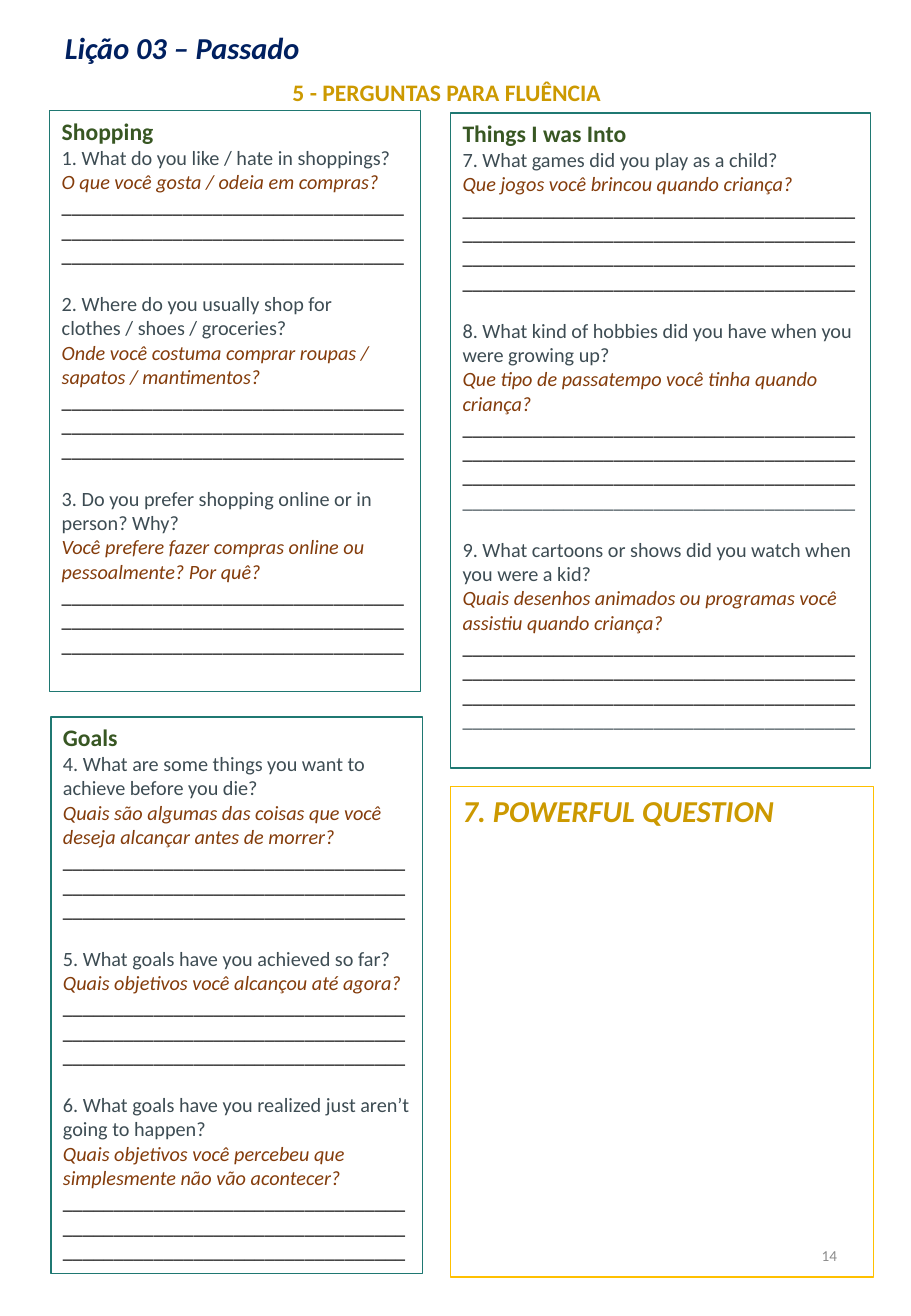
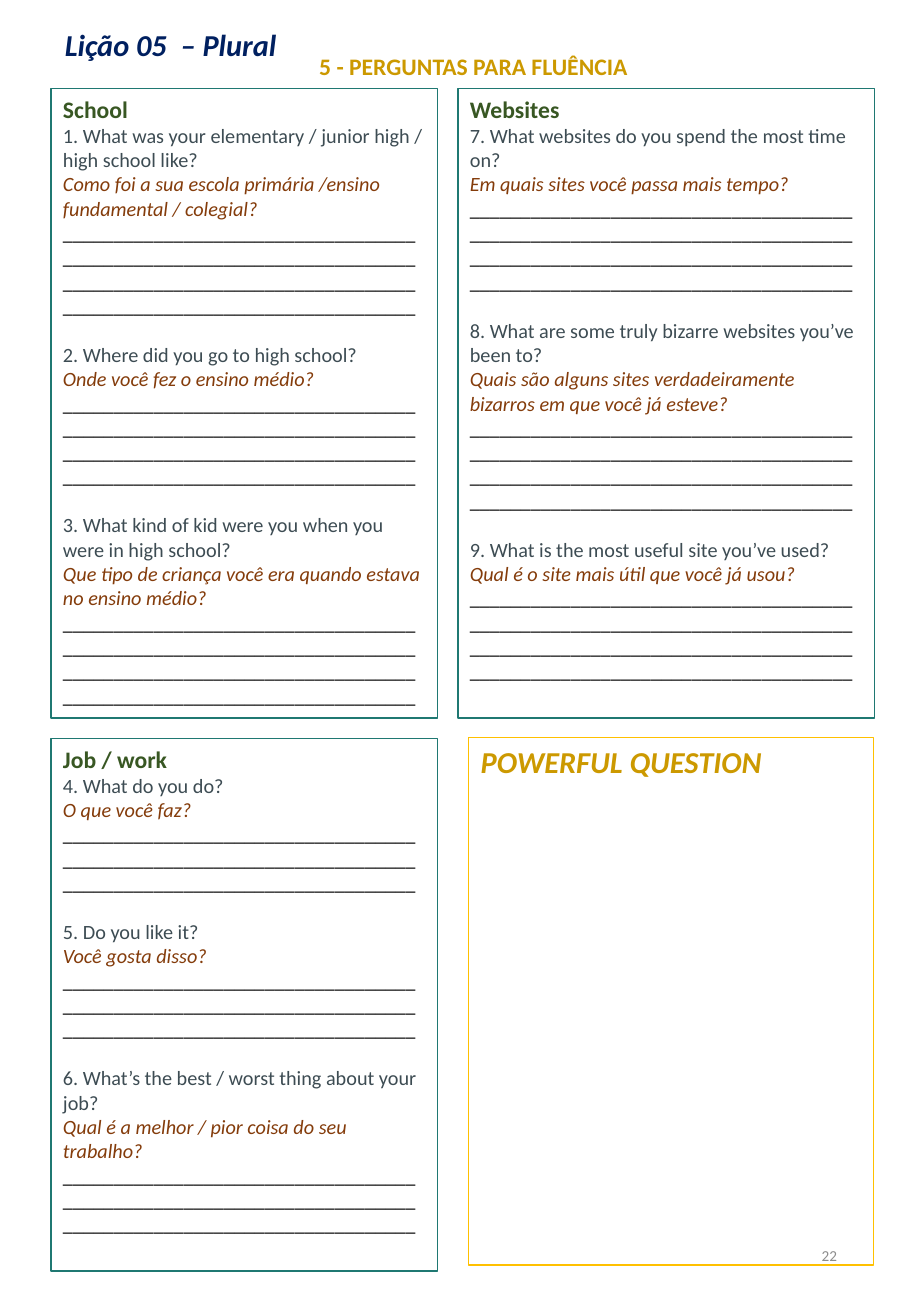
from pptx import Presentation
from pptx import util as u
from pptx.dml.color import RGBColor
from pptx.enum import shapes, text

# Shared style
FONT = "Calibri"
NAVY, GOLD, AMBER, TEAL = "002060", "CC9900", "FFC000", "1F7872"
GREEN, SLATE, BROWN, BLACK, GRAY = "385723", "3D4C53", "843C0B", "000000", "8C8C8C"
BLANK_LINE = 14.65  # points, one empty line of 12 pt text
SECTION = "5 - PERGUNTAS PARA FLUÊNCIA"
PAGE_BOX = (5.3, 10.04, 1.69, 0.58)

# Content: boxes are left, top, width, height in inches.
# Each panel's "rules" are the underscores per writing line and the number of lines.
SLIDES = [
    {
        "title": ("Lição 03 – Passado", (0.42, 0.17, 2.16, 0.43)),
        "section": (2.31, 0.59, 2.76, 0.34),
        "page": "14",
        "powerful": ("7. POWERFUL QUESTION", (3.71, 6.47, 3.48, 4.04)),
        "panels": [
            {"heading": "Shopping", "box": (0.41, 0.91, 3.05, 4.78), "rules": (34, 3),
             "questions": [
                 ("1. What do you like / hate in shoppings?",
                  "O que você gosta / odeia em compras?"),
                 ("2. Where do you usually shop for clothes / shoes / groceries?",
                  "Onde você costuma comprar roupas / sapatos / mantimentos?"),
                 ("3. Do you prefer shopping online or in person? Why?",
                  "Você prefere fazer compras online ou pessoalmente? Por quê?")]},
            {"heading": "Goals", "box": (0.42, 5.9, 3.06, 4.58), "rules": (34, 3),
             "questions": [
                 ("4. What are some things you want to achieve before you die?",
                  "Quais são algumas das coisas que você deseja alcançar antes de morrer?"),
                 ("5. What goals have you achieved so far?",
                  "Quais objetivos você alcançou até agora?"),
                 ("6. What goals have you realized just aren’t going to happen?",
                  "Quais objetivos você percebeu que simplesmente não vão acontecer?")]},
            {"heading": "Things I was Into", "box": (3.71, 0.93, 3.46, 5.39), "rules": (39, 4),
             "slate_last_rule": (1, 2),
             "questions": [
                 ("7. What games did you play as a child?",
                  "Que jogos você brincou quando criança?"),
                 ("8. What kind of hobbies did you have when you were growing up?",
                  "Que tipo de passatempo você tinha quando criança?"),
                 ("9. What cartoons or shows did you watch when you were a kid?",
                  "Quais desenhos animados ou programas você assistiu quando criança?")]},
        ],
    },
    {
        "title": ("Lição 05  – Plural", (0.42, 0.14, 1.97, 0.43)),
        "section": (2.53, 0.38, 2.76, 0.34),
        "page": "22",
        "powerful": ("POWERFUL QUESTION", (3.86, 6.07, 3.33, 4.34)),
        "panels": [
            {"heading": "School", "box": (0.42, 0.73, 3.18, 5.18), "rules": (35, 4),
             "questions": [
                 ("1. What was your elementary / junior high / high school like?",
                  "Como foi a sua escola primária /ensino fundamental / colegial?"),
                 ("2. Where did you go to high school?",
                  "Onde você fez o ensino médio?"),
                 ("3. What kind of kid were you when you were in high school?",
                  "Que tipo de criança você era quando estava no ensino médio?")]},
            {"heading": "Job / work", "box": (0.42, 6.08, 3.18, 4.38), "rules": (35, 3),
             "questions": [
                 ("4. What do you do?", "O que você faz?"),
                 ("5. Do you like it?", "Você gosta disso?"),
                 ("6. What’s the best / worst thing about your job?",
                  "Qual é a melhor / pior coisa do seu trabalho?")]},
            {"heading": "Websites", "box": (3.77, 0.73, 3.43, 5.18), "rules": (38, 4),
             "questions": [
                 ("7. What websites do you spend the most time on?",
                  "Em quais sites você passa mais tempo?"),
                 ("8. What are some truly bizarre websites you’ve been to?",
                  "Quais são alguns sites verdadeiramente bizarros em que você já esteve?"),
                 ("9. What is the most useful site you’ve used?",
                  "Qual é o site mais útil que você já usou?")]},
        ],
    },
]


def rgb(color):
    return RGBColor.from_string(color)


def inches(box):
    return [u.Inches(v) for v in box]


def write(p, words, size, color, bold=False, italic=False, align=text.PP_ALIGN.LEFT):
    p.text = words
    p.alignment = align
    f = p.font
    f.name, f.size, f.bold, f.italic = FONT, u.Pt(size), bold, italic
    f.color.rgb = rgb(color)
    return p


def set_frame(sp, wrap=True, anchor=text.MSO_ANCHOR.TOP):
    tf = sp.text_frame
    tf.auto_size = text.MSO_AUTO_SIZE.NONE
    tf.word_wrap = wrap
    tf.vertical_anchor = anchor
    return tf


def add_label(s, box, **frame):
    return set_frame(s.shapes.add_textbox(*inches(box)), **frame).paragraphs[0]


def add_frame(s, box, color):
    """Outlined rectangle that holds text."""
    sp = s.shapes.add_shape(shapes.MSO_SHAPE.RECTANGLE, *inches(box))
    sp.shadow.inherit = False
    sp.fill.background()
    sp.line.color.rgb = rgb(color)
    sp.line.width = u.Pt(0.75)
    return set_frame(sp)


def add_panel(s, panel):
    tf = add_frame(s, panel["box"], TEAL)
    write(tf.paragraphs[0], panel["heading"], 14, GREEN, bold=True)
    chars, lines = panel["rules"]
    for i, (english, portuguese) in enumerate(panel["questions"]):
        p = write(tf.add_paragraph(), english, 12, SLATE)
        if i:
            p.space_before = u.Pt(BLANK_LINE)
        write(tf.add_paragraph(), portuguese, 12, BROWN, italic=True)
        slate = int(i in panel.get("slate_last_rule", ()))
        write(tf.add_paragraph(), "_" * chars * (lines - slate), 12, BLACK)
        if slate:
            write(tf.add_paragraph(), "_" * chars, 12, SLATE)


def add_lesson(prs, lesson):
    s = prs.slides.add_slide(prs.slide_layouts[5])

    # Title and section heading
    words, box = lesson["title"]
    title = s.shapes.title
    title.left, title.top, title.width, title.height = inches(box)
    p = write(set_frame(title, wrap=False).paragraphs[0], words, 18, NAVY,
              bold=True, italic=True, align=text.PP_ALIGN.CENTER)
    p.line_spacing = 1.07
    write(add_label(s, lesson["section"], wrap=False), SECTION, 14, GOLD, bold=True)

    # Question panels
    for panel in lesson["panels"]:
        add_panel(s, panel)
    words, box = lesson["powerful"]
    write(add_frame(s, box, AMBER).paragraphs[0], words, 18, GOLD, bold=True, italic=True)

    # Page number
    write(add_label(s, PAGE_BOX, anchor=text.MSO_ANCHOR.MIDDLE), lesson["page"], 9, GRAY,
          align=text.PP_ALIGN.RIGHT)


def main():
    prs = Presentation()
    prs.slide_width, prs.slide_height = u.Inches(7.5), u.Inches(10.83)
    for lesson in SLIDES:
        add_lesson(prs, lesson)
    prs.save("out.pptx")


if __name__ == "__main__":
    main()
